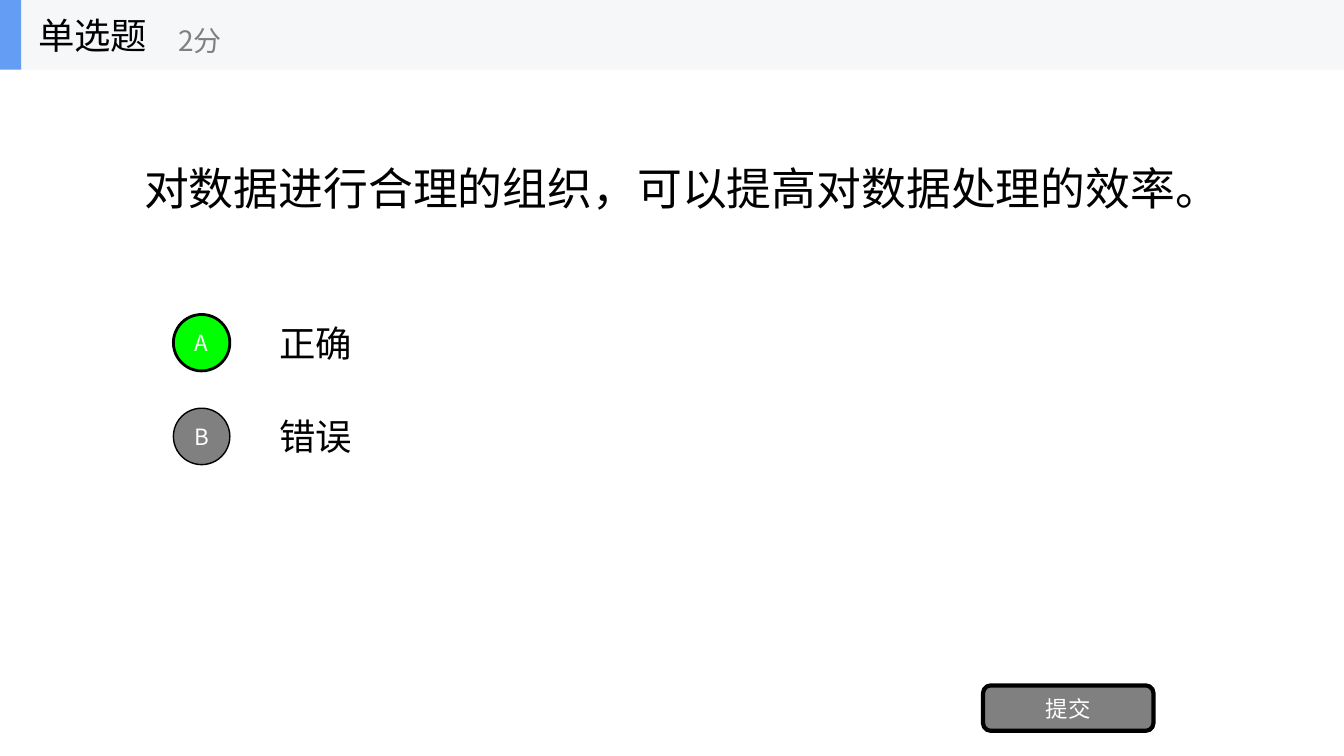
from dataclasses import dataclass

from lxml import etree
from pptx import Presentation
from pptx.dml.color import RGBColor
from pptx.enum.shapes import MSO_SHAPE as SHAPE
from pptx.enum.text import MSO_ANCHOR as ANCHOR, MSO_AUTO_SIZE as AUTO, PP_ALIGN as ALIGN
from pptx.oxml.ns import qn
from pptx.util import Inches, Pt


@dataclass(frozen=True)
class Theme:
    font: str = "Noto Sans CJK SC"
    black: str = "000000"
    white: str = "FFFFFF"
    gray: str = "808080"
    correct: str = "00FF00"
    band: str = "F6F7F8"
    accent: str = "639EF4"
    question: int = 32
    heading: int = 26
    points: int = 20
    button: int = 16


theme = Theme()


def write(sp, text, size, color, align=ALIGN.LEFT):
    tf = sp.text_frame
    tf.text = text
    tf.word_wrap = True
    tf.auto_size = AUTO.NONE
    tf.vertical_anchor = ANCHOR.MIDDLE
    p = tf.paragraphs[0]
    p.alignment = align
    r = p.runs[0]
    r.font.size = Pt(size)
    r.font.color.rgb = RGBColor.from_string(color)
    r.font.name = theme.font
    etree.SubElement(r.font._element, qn("a:ea"), typeface=theme.font)


def draw(shapes, kind, box, fill, line=0):
    sp = shapes.add_shape(kind, *map(Inches, box))
    sp.shadow.inherit = False
    sp.fill.solid()
    sp.fill.fore_color.rgb = RGBColor.from_string(fill)
    if line:
        sp.line.color.rgb = RGBColor.from_string(theme.black)
        sp.line.width = Pt(line)
    else:
        sp.line.fill.background()
    return sp


prs = Presentation()
prs.slide_width, prs.slide_height = Inches(13.33), Inches(7.5)
s = prs.slides.add_slide(prs.slide_layouts[5])

question = s.shapes.title
question.left, question.top = Inches(1.33), Inches(0.69)
question.width, question.height = Inches(11.16), Inches(2.34)
write(question, "对数据进行合理的组织，可以提高对数据处理的效率。", theme.question, theme.black)

options = [("A", "正确", theme.correct, 2), ("B", "错误", theme.gray, 1)]
for i, (letter, answer, fill, line) in enumerate(options):
    top = 3.05 + i * 0.93
    label = s.shapes.add_textbox(Inches(2.67), Inches(top), Inches(9.33), Inches(0.7))
    write(label, answer, theme.heading, theme.black)
    badge = draw(s.shapes, SHAPE.OVAL, (1.72, top + 0.07, 0.56, 0.56), fill, line)
    write(badge, letter, theme.button, theme.white, ALIGN.CENTER)

submit = draw(s.shapes, SHAPE.ROUNDED_RECTANGLE, (9.75, 6.8, 1.69, 0.45), theme.gray, 3)
write(submit, "提交", theme.button, theme.white, ALIGN.CENTER)

header = s.shapes.add_group_shape().shapes
draw(header, SHAPE.RECTANGLE, (0, 0, 13.33, 0.69), theme.band)
draw(header, SHAPE.RECTANGLE, (0, 0, 0.21, 0.69), theme.accent)
for text, box, size, color in [
    ("单选题", (0.28, 0, 2.08, 0.69), theme.heading, theme.black),
    ("2分", (1.67, 0.12, 2.5, 0.56), theme.points, theme.gray),
]:
    write(header.add_textbox(*map(Inches, box)), text, size, color)

prs.save("out.pptx")
